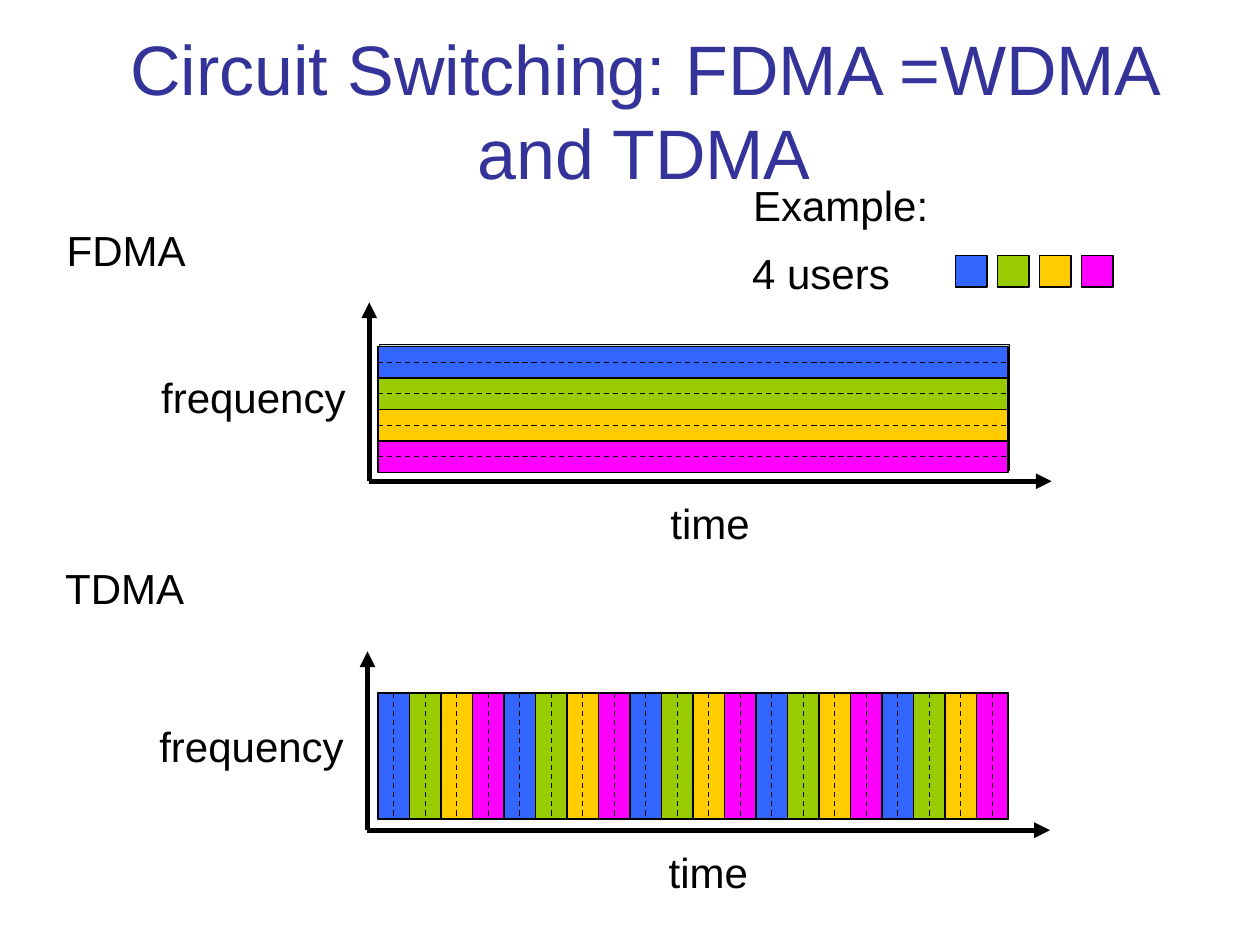
from dataclasses import dataclass

from pptx import Presentation
from pptx.dml.color import RGBColor
from pptx.enum.dml import MSO_LINE_DASH_STYLE as Dash
from pptx.enum.shapes import MSO_CONNECTOR as Connector, MSO_SHAPE as Shape
from pptx.enum.text import MSO_ANCHOR as Anchor, MSO_AUTO_SIZE as AutoSize, PP_ALIGN as Align
from pptx.oxml.ns import qn
from pptx.util import Pt
from lxml.etree import SubElement


@dataclass(frozen=True)
class Theme:
    font: str = "Arial"
    title_size: float = 40
    label_size: float = 24
    title: str = "333399"
    ink: str = "000000"
    frame: str = "BBE0E3"
    users: tuple = ("3366FF", "99CC00", "FFCC00", "FF00FF")
    thin: float = 0.75
    thick: float = 3


THEME = Theme()
CELL = 18
PLOT_LEFT, PLOT_WIDTH, PLOT_HEIGHT = 216, 360, 72
FDMA_TOP, TDMA_TOP = 198, 396


def add_text(slide, text, left, top, width, height, size, color):
    box = slide.shapes.add_textbox(Pt(left), Pt(top), Pt(width), Pt(height))
    box.text_frame.text = text
    font = box.text_frame.paragraphs[0].runs[0].font
    font.name = THEME.font
    font.size = Pt(size)
    font.color.rgb = RGBColor.from_string(color)
    return box


def add_title(slide, text):
    frame = add_text(slide, text, 34.5, 17.7, 667, 90, THEME.title_size, THEME.title).text_frame
    frame.word_wrap = True
    frame.vertical_anchor = Anchor.MIDDLE
    frame.paragraphs[0].alignment = Align.CENTER


def add_label(slide, text, left, top, width):
    frame = add_text(slide, text, left, top, width, 36, THEME.label_size, THEME.ink).text_frame
    frame.word_wrap = False
    frame.auto_size = AutoSize.SHAPE_TO_FIT_TEXT


def add_box(slide, left, top, width, height, color):
    box = slide.shapes.add_shape(Shape.RECTANGLE, Pt(left), Pt(top), Pt(width), Pt(height))
    box.shadow.inherit = False
    box.fill.solid()
    box.fill.fore_color.rgb = RGBColor.from_string(color)
    box.line.color.rgb = RGBColor.from_string(THEME.ink)
    box.line.width = Pt(THEME.thin)
    return box


def add_line(slide, start, end, weight=THEME.thin, dashed=False, arrow=False):
    line = slide.shapes.add_connector(Connector.STRAIGHT, *map(Pt, start + end))
    line.line.color.rgb = RGBColor.from_string(THEME.ink)
    line.line.width = Pt(weight)
    if dashed:
        line.line.dash_style = Dash.DASH
    if arrow:
        SubElement(line.line._get_or_add_ln(), qn("a:tailEnd"), type="triangle")
    SubElement(line._element.spPr, qn("a:effectLst"))
    return line


def add_axes(slide, left, bottom):
    origin = (left, bottom)
    add_line(slide, origin, (left, bottom - 102.2), THEME.thick, arrow=True)
    add_label(slide, "frequency", left - 126, bottom - 66, 122)
    add_line(slide, origin, (left + 390, bottom), THEME.thick, arrow=True)
    add_label(slide, "time", left + 165, bottom + 5.8, 60)


def add_center_line(slide, box, start_side, end_side):
    line = add_line(slide, (0, 0), (0, 0), dashed=True)
    line.begin_connect(box, start_side)
    line.end_connect(box, end_side)


def add_fdma(slide):
    add_label(slide, "FDMA", 31, 124.6, 85)
    add_axes(slide, 211, 275)
    add_box(slide, PLOT_LEFT + 1, FDMA_TOP - 1, PLOT_WIDTH, PLOT_HEIGHT, THEME.frame)
    bands = [add_box(slide, PLOT_LEFT, FDMA_TOP + row * CELL, PLOT_WIDTH, CELL, color)
             for row, color in enumerate(THEME.users)]
    for row in range(1, len(bands)):
        y = FDMA_TOP + row * CELL
        add_line(slide, (PLOT_LEFT, y), (PLOT_LEFT + PLOT_WIDTH, y))
    for band in bands:
        add_center_line(slide, band, 1, 3)


def add_tdma(slide):
    add_label(slide, "TDMA", 30.2, 317.8, 85)
    add_axes(slide, 210, 474.4)
    add_box(slide, PLOT_LEFT, TDMA_TOP, PLOT_WIDTH, PLOT_HEIGHT, THEME.frame)
    slots = [add_box(slide, PLOT_LEFT + column * CELL, TDMA_TOP, CELL, PLOT_HEIGHT,
                     THEME.users[column % len(THEME.users)])
             for column in range(PLOT_WIDTH // CELL)]
    for column in range(1, len(slots)):
        x = PLOT_LEFT + column * CELL
        add_line(slide, (x, TDMA_TOP), (x, TDMA_TOP + PLOT_HEIGHT))
    for slot in slots:
        add_center_line(slide, slot, 0, 2)


def add_legend(slide):
    add_label(slide, "4 users", 422.7, 138.2, 93)
    for index, color in enumerate(THEME.users):
        add_box(slide, 546 + index * 24, 146, CELL, CELL, color)
    add_label(slide, "Example:", 423.3, 99.3, 114.5)


def main():
    presentation = Presentation()
    presentation.slide_width, presentation.slide_height = Pt(720), Pt(540)
    slide = presentation.slides.add_slide(presentation.slide_layouts[6])
    add_title(slide, "Circuit Switching: FDMA =WDMA and TDMA")
    add_fdma(slide)
    add_tdma(slide)
    add_legend(slide)
    presentation.save("out.pptx")


if __name__ == "__main__":
    main()
